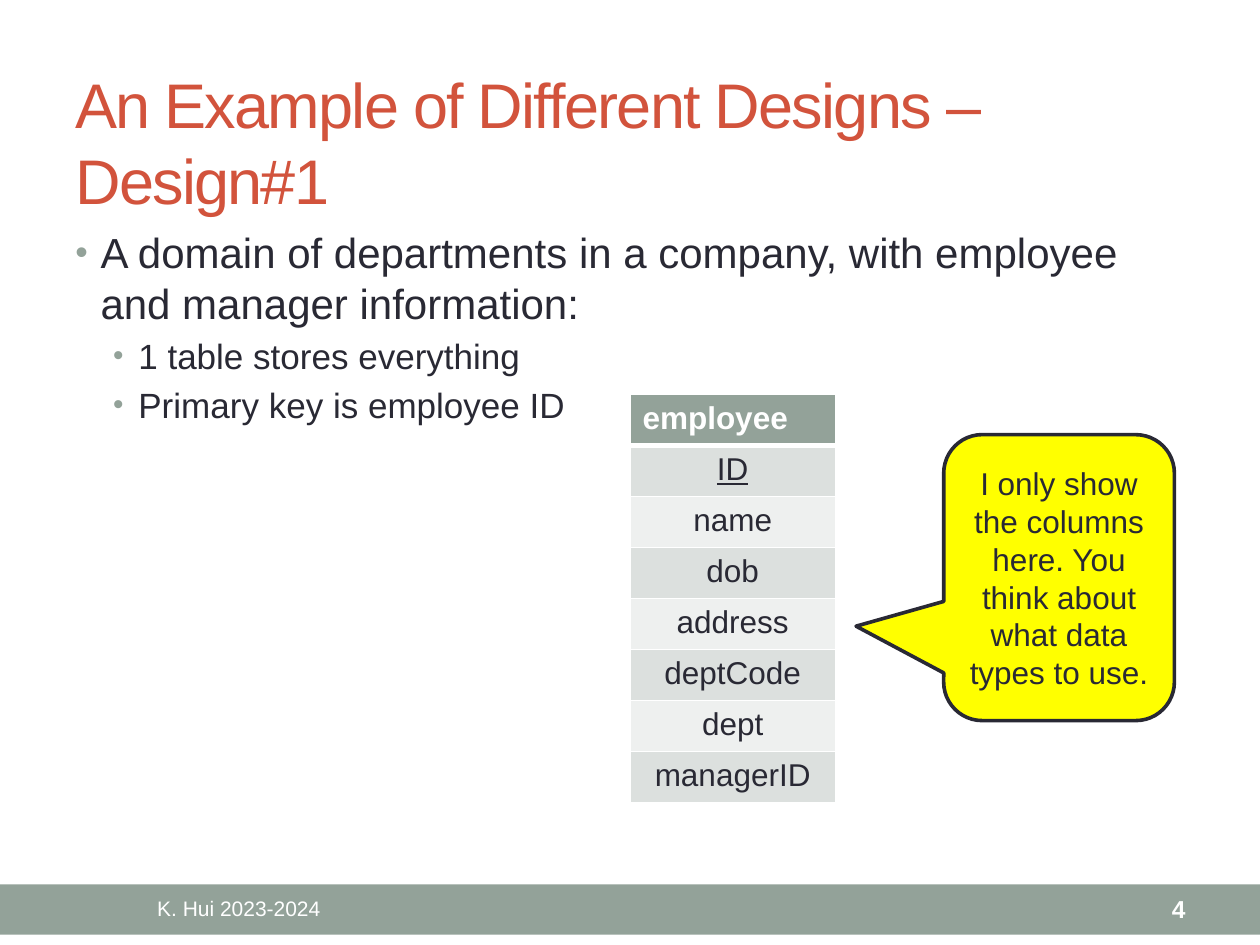
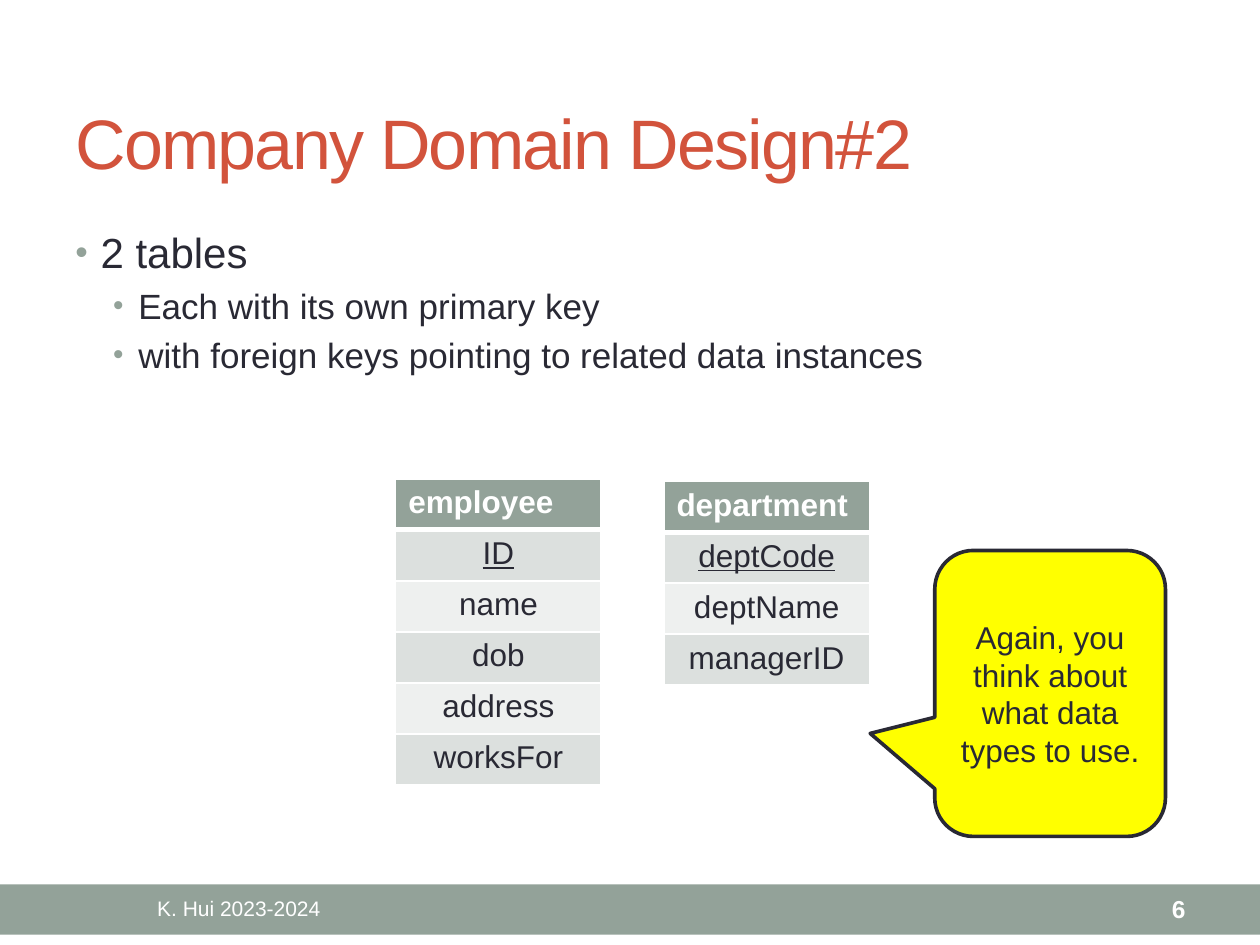
from dataclasses import dataclass

from lxml import etree
from pptx import Presentation
from pptx.dml.color import RGBColor
from pptx.enum import shapes, text
from pptx.oxml import ns
from pptx.util import Pt


@dataclass(frozen=True)
class Theme:
    font: str = "Arial"
    accent: str = "93A299"
    title: str = "D2533C"
    ink: str = "292934"
    white: str = "FFFFFF"
    note: str = "FFFF00"
    row_fills: tuple = ("DCE0DE", "EEF0EF")
    bullet_sizes: tuple = (24, 20)
    bullet_margins: tuple = (14.4, 36)
    bullet_hang: float = 14.4
    table_size: int = 18
    footer_size: int = 12
    number_size: int = 14


THEME = Theme()
WIDTH, HEIGHT = 720, 540
MARGIN = 36
COLUMN_WIDTH, ROW_HEIGHT = 117.4, 29.16
FOOTER = "K. Hui 2023-2024"


def add_element(parent, tag, **attributes):
    return etree.SubElement(parent, ns.qn(tag), attributes)


class Deck:
    """Holds the theme and the current slide."""

    def __init__(self, theme):
        self.theme = theme
        self.presentation = Presentation()
        self.presentation.slide_width = Pt(WIDTH)
        self.presentation.slide_height = Pt(HEIGHT)
        self.slide = None

    def new_slide(self, title, title_size, number):
        layout = self.presentation.slide_layouts[6]
        self.slide = self.presentation.slides.add_slide(layout)
        band = self.slide.shapes.add_shape(
            shapes.MSO_SHAPE.RECTANGLE, 0, Pt(505.4), Pt(WIDTH), Pt(28.8))
        self.paint(band, self.theme.accent)
        self.title(title, title_size)
        self.footer(FOOTER, MARGIN, 201, self.theme.footer_size, text.PP_ALIGN.CENTER)
        self.footer(str(number), 600.5, 84, self.theme.number_size,
                    text.PP_ALIGN.RIGHT, bold=True)

    def paint(self, shape, fill, line=None):
        shape.shadow.inherit = False
        shape.fill.solid()
        shape.fill.fore_color.rgb = RGBColor.from_string(fill)
        if line:
            shape.line.color.rgb = RGBColor.from_string(line)
            shape.line.width = Pt(2.08)
        else:
            shape.line.fill.background()

    def style(self, paragraph, size, color, align=None, bold=False, underline=False):
        paragraph.alignment = align
        for run in paragraph.runs:
            font = run.font
            font.name, font.size = self.theme.font, Pt(size)
            font.bold, font.underline = bold, underline
            font.color.rgb = RGBColor.from_string(color)

    def text_box(self, left, top, width, height, anchor=text.MSO_ANCHOR.MIDDLE):
        box = self.slide.shapes.add_textbox(Pt(left), Pt(top), Pt(width), Pt(height))
        frame = box.text_frame
        frame.word_wrap = True
        frame.vertical_anchor = anchor
        return frame

    def title(self, wording, size):
        frame = self.text_box(MARGIN, 41.8, WIDTH - 2 * MARGIN, 77.8)
        frame.text = wording
        paragraph = frame.paragraphs[0]
        self.style(paragraph, size, self.theme.title)
        paragraph.runs[0].font._element.set("spc", "-100")

    def footer(self, wording, left, width, size, align, bold=False):
        frame = self.text_box(left, 506.2, width, 25.9)
        frame.text = wording
        self.style(frame.paragraphs[0], size, self.theme.white, align, bold)

    def bullets(self, heading, details):
        """One top-level bullet followed by its second-level details."""
        frame = self.text_box(MARGIN, 126, WIDTH - 2 * MARGIN, 145, text.MSO_ANCHOR.TOP)
        frame.text = "\n".join([heading, *details])
        for index, paragraph in enumerate(frame.paragraphs):
            level = min(index, 1)
            size = self.theme.bullet_sizes[level]
            paragraph.level = level
            properties = paragraph._p.get_or_add_pPr()
            properties.set("marL", str(Pt(self.theme.bullet_margins[level])))
            properties.set("indent", str(-Pt(self.theme.bullet_hang)))
            color = add_element(properties, "a:buClr")
            add_element(color, "a:srgbClr", val=self.theme.accent)
            add_element(properties, "a:buSzPct", val="85000")
            add_element(properties, "a:buFont", typeface=self.theme.font)
            add_element(properties, "a:buChar", char="•")
            if index:
                paragraph.space_before = Pt(size * 0.2)
            self.style(paragraph, size, self.theme.ink)

    def cell_borders(self, cell, top, bottom):
        properties = cell._tc.get_or_add_tcPr()
        for side, width in (("L", 1), ("R", 1), ("T", top), ("B", bottom)):
            line = add_element(properties, f"a:ln{side}", w=str(Pt(width)))
            fill = add_element(line, "a:solidFill")
            add_element(fill, "a:srgbClr", val=self.theme.white)

    def entity(self, left, top, name, columns):
        """A database table: its name, the underlined key, the other columns."""
        theme = self.theme
        rows = [name, *columns]
        table = self.slide.shapes.add_table(
            len(rows), 1, Pt(left), Pt(top), Pt(COLUMN_WIDTH),
            Pt(ROW_HEIGHT * len(rows))).table
        for index, wording in enumerate(rows):
            table.rows[index].height = Pt(ROW_HEIGHT)
            cell = table.cell(index, 0)
            cell.text = wording
            paragraph = cell.text_frame.paragraphs[0]
            header, key = index == 0, index == 1
            self.cell_borders(cell, top=3 if key else 1, bottom=3 if header else 1)
            if header:
                fill = theme.accent
                self.style(paragraph, theme.table_size, theme.white, bold=True)
            else:
                fill = theme.row_fills[(index - 1) % 2]
                self.style(paragraph, theme.table_size, theme.ink,
                           text.PP_ALIGN.CENTER, underline=key)
            cell.fill.solid()
            cell.fill.fore_color.rgb = RGBColor.from_string(fill)

    def callout(self, left, top, wording, tip):
        shape = self.slide.shapes.add_shape(
            shapes.MSO_SHAPE.ROUNDED_RECTANGULAR_CALLOUT,
            Pt(left), Pt(top), Pt(131.8), Pt(163.4))
        for index, value in enumerate((*tip, 0.167)):
            shape.adjustments[index] = value
        self.paint(shape, self.theme.note, self.theme.ink)
        frame = shape.text_frame
        frame.word_wrap = True
        frame.vertical_anchor = text.MSO_ANCHOR.MIDDLE
        frame.text = wording
        self.style(frame.paragraphs[0], self.theme.table_size, self.theme.ink,
                   text.PP_ALIGN.CENTER)


def main():
    deck = Deck(THEME)

    deck.new_slide("An Example of Different Designs – Design#1", 36, 4)
    deck.bullets(
        "A domain of departments in a company, with employee and manager information:",
        ["1 table stores everything", "Primary key is employee ID"])
    deck.entity(360, 225.4, "employee",
                ["ID", "name", "dob", "address", "deptCode", "dept", "managerID"])
    deck.callout(
        539.3, 248.4,
        "I only show the columns here. You think about what data types to use.",
        tip=(-0.88, 0.17))

    deck.new_slide("Company Domain Design#2", 40, 6)
    deck.bullets(
        "2 tables",
        ["Each with its own primary key",
         "with foreign keys pointing to related data instances"])
    deck.entity(226.1, 273.6, "employee", ["ID", "name", "dob", "address", "worksFor"])
    deck.entity(379.4, 275, "department", ["deptCode", "deptName", "managerID"])
    deck.callout(534.2, 314.6, "Again, you think about what data types to use.",
                 tip=(-0.78, 0.14))

    deck.presentation.save("out.pptx")


if __name__ == "__main__":
    main()
